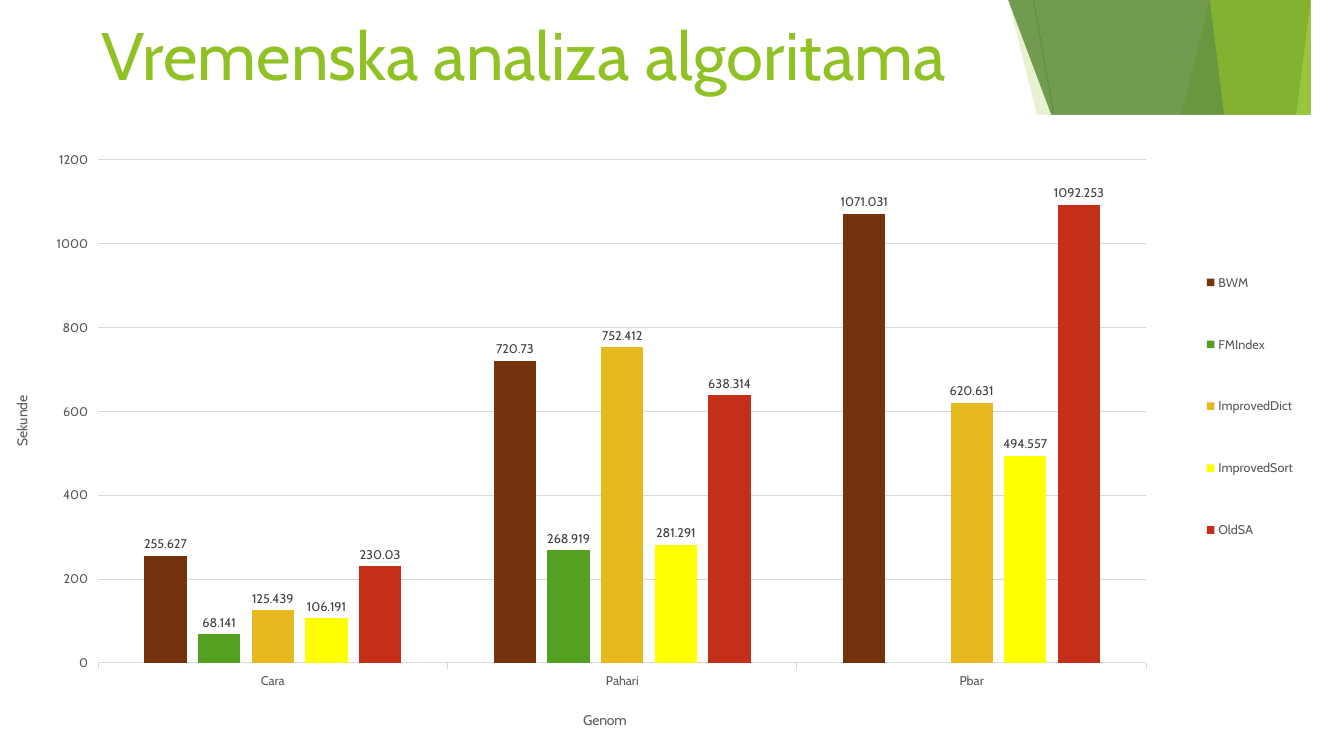
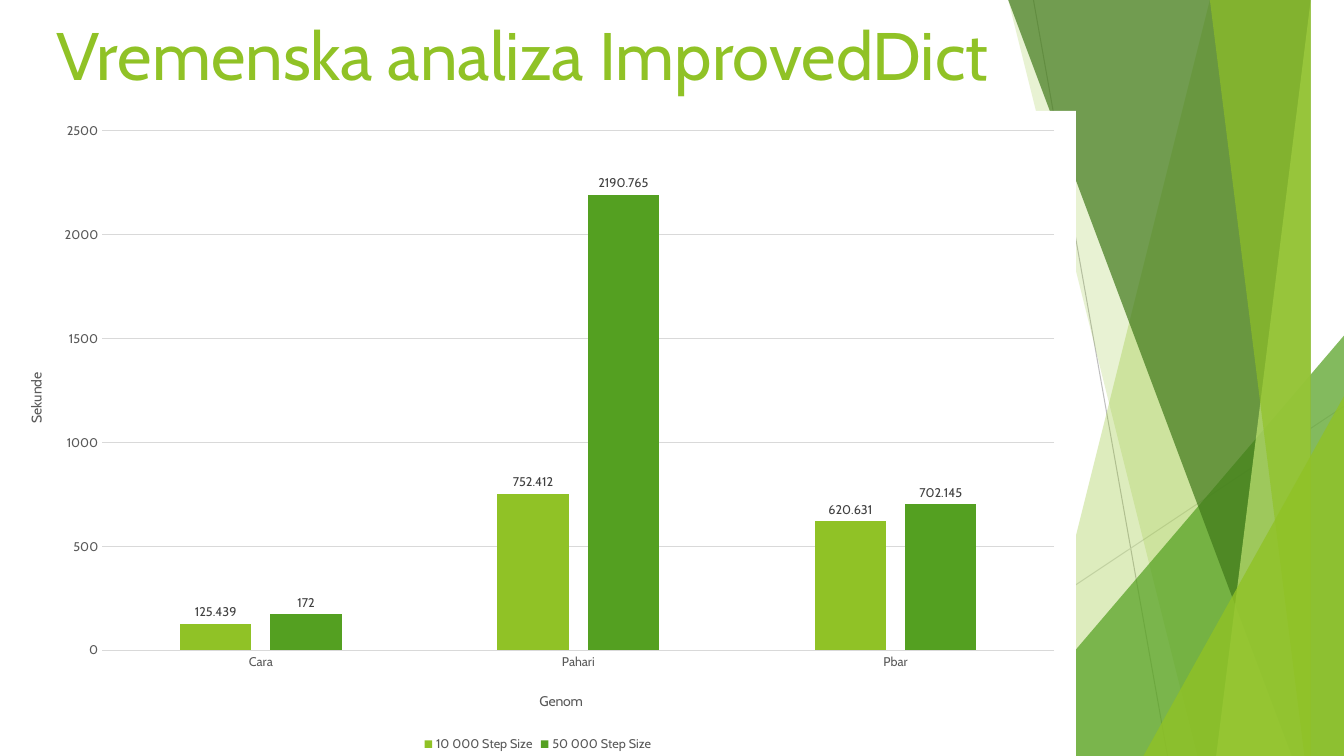
from dataclasses import dataclass

from lxml.etree import SubElement
from pptx import Presentation
from pptx.chart.data import CategoryChartData as ChartData
from pptx.dml.color import RGBColor as Rgb
from pptx.enum.chart import XL_CHART_TYPE as ChartType
from pptx.enum.chart import XL_LABEL_POSITION as LabelPosition
from pptx.enum.chart import XL_LEGEND_POSITION as LegendPosition
from pptx.enum.chart import XL_TICK_MARK as TickMark
from pptx.enum.shapes import MSO_CONNECTOR as Connector
from pptx.enum.shapes import MSO_SHAPE as Preset
from pptx.enum.text import MSO_ANCHOR as Anchor
from pptx.enum.text import PP_ALIGN as Align
from pptx.oxml import parse_xml
from pptx.oxml.ns import nsdecls, qn
from pptx.util import Inches, Pt

WIDTH, HEIGHT = 13.33, 7.5
GENOMES = ("Cara", "Pahari", "Pbar")


@dataclass(frozen=True)
class Theme:
    """Colours, font and type sizes."""

    font: str = "Cabin"
    lime: str = "90C226"
    green: str = "54A021"
    forest: str = "3F7819"
    pale: str = "C0E474"
    brown: str = "74330C"
    gold: str = "E6B91E"
    yellow: str = "FFFF00"
    red: str = "C42F1A"
    rule: str = "BFBFBF"
    grid: str = "D9D9D9"
    muted: str = "595959"
    label: str = "404040"
    paper: str = "FFFFFF"
    title_size: int = 48
    axis_title_size: int = 10
    chart_size: int = 9


THEME = Theme()


def style_font(font, size, color):
    """Apply the theme font with a size and colour."""
    font.name = THEME.font
    font.size = Pt(size)
    font.bold = False
    font.color.rgb = Rgb.from_string(color)


def write(frame, text, *, size, color, align=Align.CENTER):
    """Write one formatted paragraph into a text frame."""
    paragraph = frame.paragraphs[0]
    paragraph.alignment = align
    run = paragraph.add_run()
    run.text = text
    style_font(run.font, size, color)


def place(part, x, y, w=None, h=None):
    """Give a chart part a manual layout in fractions of the chart."""
    for old in part.findall(qn("c:layout")):
        part.remove(old)
    layout = parse_xml(f"<c:layout {nsdecls('c')}><c:manualLayout/></c:layout>")
    settings = [("xMode", "edge"), ("yMode", "edge"), ("x", x), ("y", y), ("w", w), ("h", h)]
    if part.tag == qn("c:plotArea"):
        settings.insert(0, ("layoutTarget", "inner"))
    for name, value in settings:
        if value is not None:
            SubElement(layout[0], qn(f"c:{name}")).set("val", str(value))
    overlay = part.find(qn("c:overlay"))
    if overlay is None:
        part.insert(0, layout)
    else:
        overlay.addprevious(layout)


class Deck:
    """Holds the presentation, its style and the current slide."""

    def __init__(self, theme):
        """Start an empty widescreen presentation."""
        self.theme = theme
        self.slides = Presentation()
        self.slides.slide_width = Inches(WIDTH)
        self.slides.slide_height = Inches(HEIGHT)
        self.shapes = None

    def new_slide(self, title, title_width):
        """Add a slide with the facet backdrop and its title."""
        slide = self.slides.slides.add_slide(self.slides.slide_layouts[6])
        slide.background.fill.solid()
        slide.background.fill.fore_color.rgb = Rgb.from_string(self.theme.paper)
        self.shapes = slide.shapes
        self.backdrop()
        self.title(title, title_width)

    def line(self, start, end, color):
        """Draw a thin straight line."""
        ends = [Inches(value) for value in (*start, *end)]
        line = self.shapes.add_connector(Connector.STRAIGHT, *ends)
        line.line.color.rgb = Rgb.from_string(color)
        line.line.width = Pt(0.75)
        SubElement(line.element.spPr, qn("a:effectLst"))

    def tint(self, shape, color, opacity):
        """Fill a shape with a translucent colour and no outline."""
        shape.shadow.inherit = False
        shape.line.fill.background()
        shape.fill.solid()
        shape.fill.fore_color.rgb = Rgb.from_string(color)
        solid = shape.element.xpath("./p:spPr/a:solidFill/a:srgbClr")[0]
        SubElement(solid, qn("a:alpha")).set("val", str(opacity * 1000))

    def facet(self, top, bottom, color, opacity):
        """Draw a facet from a slanted left edge to the right slide edge."""
        outline = self.shapes.build_freeform(top, 0, scale=Inches(1))
        outline.add_line_segments([(WIDTH, 0), (WIDTH, HEIGHT), (bottom, HEIGHT)])
        self.tint(outline.convert_to_shape(), color, opacity)

    def corner(self, left, top, color, opacity):
        """Draw a right triangle in the bottom right corner."""
        triangle = self.shapes.add_shape(
            Preset.ISOSCELES_TRIANGLE, Inches(left), Inches(top),
            Inches(WIDTH - left), Inches(HEIGHT - top))
        triangle.adjustments[0] = 1
        self.tint(triangle, color, opacity)

    def backdrop(self):
        """Draw the lines and facets shared by all slides."""
        look = self.theme
        self.line((10.25, 0), (11.58, HEIGHT), look.rule)
        self.line((WIDTH, 4.03), (8.12, HEIGHT), look.grid)
        self.facet(12.28, 10.04, look.lime, 30)
        self.facet(10.5, 11.83, look.lime, 20)
        self.corner(9.77, 3.33, look.green, 72)
        self.facet(10.21, 12.91, look.forest, 70)
        self.facet(13.03, 11.92, look.pale, 70)
        self.facet(11.96, 13.18, look.lime, 65)
        self.corner(11.34, 3.93, look.lime, 80)

    def title(self, text, width):
        """Write the slide title."""
        box = self.shapes.add_textbox(Inches(0), Inches(0.08), Inches(width), Inches(1.25))
        box.text_frame.word_wrap = True
        box.text_frame.vertical_anchor = Anchor.TOP
        write(box.text_frame, text, size=self.theme.title_size, color=self.theme.lime)

    def axis(self, axis, title, tick):
        """Style one chart axis and write its title."""
        look = self.theme
        axis.major_tick_mark = tick
        axis.minor_tick_mark = TickMark.NONE
        style_font(axis.tick_labels.font, look.chart_size, look.muted)
        write(axis.axis_title.text_frame, title,
              size=look.axis_title_size, color=look.muted)

    def columns(self, top, width, series, *, maximum, step, tick, legend, layouts):
        """Draw a clustered column chart of seconds per genome."""
        look = self.theme
        data = ChartData()
        data.categories = GENOMES
        for name, _, values in series:
            data.add_series(name, values)
        chart = self.shapes.add_chart(
            ChartType.COLUMN_CLUSTERED, Inches(0), Inches(top),
            Inches(width), Inches(HEIGHT - top), data).chart
        chart.has_title = False
        style_font(chart.font, look.chart_size, look.muted)
        chart.element.find(qn("c:chart")).addnext(parse_xml(
            f"<c:spPr {nsdecls('c', 'a')}><a:solidFill><a:srgbClr val='{look.paper}'/>"
            "</a:solidFill><a:ln><a:noFill/></a:ln></c:spPr>"))

        genomes, seconds = chart.category_axis, chart.value_axis
        self.axis(genomes, "Genom", tick)
        self.axis(seconds, "Sekunde", tick)
        seconds.minimum_scale, seconds.maximum_scale = 0, maximum
        seconds.major_unit = step
        seconds.format.line.fill.background()
        for line in (genomes.format.line, seconds.major_gridlines.format.line):
            line.color.rgb = Rgb.from_string(look.grid)
            line.width = Pt(0.75)
        chart.element.xpath("//c:valAx/c:title//a:bodyPr")[0].set("rot", "-5400000")

        plot = chart.plots[0]
        plot.gap_width, plot.overlap = 219, -27
        plot.vary_by_categories = False
        plot.has_data_labels = True
        plot.data_labels.show_value = True
        plot.data_labels.position = LabelPosition.OUTSIDE_END
        style_font(plot.data_labels.font, look.chart_size, look.label)
        for bars, (_, color, _) in zip(plot.series, series):
            bars.format.fill.solid()
            bars.format.fill.fore_color.rgb = Rgb.from_string(color)
            bars.invert_if_negative = False

        chart.has_legend = True
        chart.legend.position = legend
        chart.legend.include_in_layout = False
        style_font(chart.legend.font, look.chart_size, look.muted)
        for part, box in layouts.items():
            place(chart.element.xpath(f"//c:{part}")[0], *box)


def main():
    """Build both slides and save them."""
    deck = Deck(THEME)
    improved_dict = (125.439, 752.412, 620.631)

    deck.new_slide("Vremenska analiza algoritama", 10.39)
    deck.columns(
        1.14, WIDTH,
        [
            ("BWM", THEME.brown, (255.627, 720.73, 1071.031)),
            ("FMIndex", THEME.green, (68.141, 268.919, None)),
            ("ImprovedDict", THEME.gold, improved_dict),
            ("ImprovedSort", THEME.yellow, (106.191, 281.291, 494.557)),
            ("OldSA", THEME.red, (230.03, 638.314, 1092.253)),
        ],
        maximum=1200, step=200, tick=TickMark.OUTSIDE, legend=LegendPosition.RIGHT,
        layouts={
            "plotArea": (0.073, 0.07, 0.78, 0.785),
            "catAx/c:title": (0.432, 0.924),
            "valAx/c:title": (0.007, 0.434),
            "legend": (0.89, 0.177, 0.08, 0.555),
        })

    deck.new_slide("Vremenska analiza ImprovedDict", 10.36)
    deck.columns(
        1.1, 10.67,
        [
            ("10 000 Step Size", THEME.lime, improved_dict),
            ("50 000 Step Size", THEME.green, (172, 2190.765, 702.145)),
        ],
        maximum=2500, step=500, tick=TickMark.NONE, legend=LegendPosition.BOTTOM,
        layouts={
            "plotArea": (0.095, 0.031, 0.885, 0.805),
            "catAx/c:title": (0.499, 0.895),
            "valAx/c:title": (0.022, 0.402),
        })

    deck.slides.save("out.pptx")


if __name__ == "__main__":
    main()
